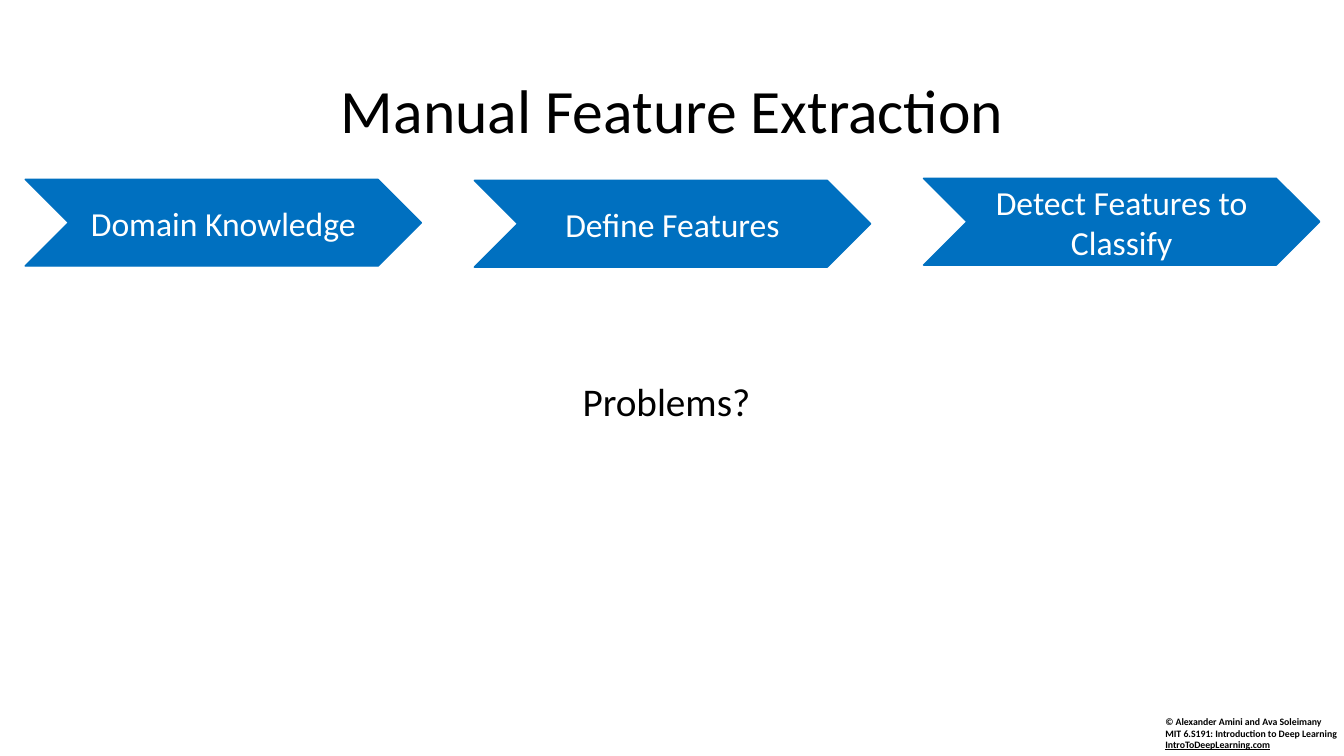
from pptx import Presentation
from pptx.dml.color import RGBColor
from pptx.enum.shapes import MSO_SHAPE
from pptx.enum.text import MSO_ANCHOR, PP_ALIGN
from pptx.util import Inches, Pt

CHEVRON = MSO_SHAPE.CHEVRON
TOP, MIDDLE = MSO_ANCHOR.TOP, MSO_ANCHOR.MIDDLE
LEFT, CENTER = PP_ALIGN.LEFT, PP_ALIGN.CENTER

# Content
TITLE = "Manual Feature Extraction"
QUESTION = "Problems?"
STEPS = [  # label, top
    ("Domain Knowledge", 1.78),
    ("Define Features", 1.79),
    ("Detect Features to Classify", 1.77),
]
CREDIT = [
    "© Alexander Amini and Ava Soleimany",
    "MIT 6.S191: Introduction to Deep Learning",
    "IntroToDeepLearning.com",
]
FONT = "Calibri"
COLORS = {"text": "000000", "step": "0070C0", "step_text": "FFFFFF"}

# Layout in inches
STEP_LEFT, STEP_PITCH = 0.25, 4.455
STEP_WIDTH, STEP_HEIGHT = 3.93, 0.86


def rgb(name):
    return RGBColor.from_string(COLORS[name])


def write(shape, text, size, color="text", align=LEFT, anchor=TOP, bold=False, spacing=None):
    frame = shape.text_frame
    frame.word_wrap = True
    frame.vertical_anchor = anchor
    frame.text = text
    paragraph = frame.paragraphs[0]
    paragraph.alignment = align
    paragraph.line_spacing = spacing
    for run in paragraph.runs:
        run.font.name = FONT
        run.font.size = Pt(size)
        run.font.bold = bold
        run.font.color.rgb = rgb(color)
    return paragraph


prs = Presentation()
prs.slide_width, prs.slide_height = Inches(13.33), Inches(7.5)
slide = prs.slides.add_slide(prs.slide_layouts[6])


def add_text(box, text, size, **style):
    area = slide.shapes.add_textbox(*map(Inches, box))
    return write(area, text, size, **style)


# Credit, one paragraph with line breaks and an underlined address
credit = add_text((11.46, 7.05, 1.98, 0.45), "\v".join(CREDIT), 7, bold=True)
credit.runs[-1].font.underline = True

# Title and question
add_text((0.92, 0.4, 11.5, 1.45), TITLE, 44, align=CENTER, anchor=MIDDLE, spacing=0.9)
add_text((5.68, 3.75, 1.98, 0.59), QUESTION, 28, spacing=0.9)

# Process steps
for index, (label, top) in enumerate(STEPS):
    left = STEP_LEFT + index * STEP_PITCH
    step = slide.shapes.add_shape(
        CHEVRON, Inches(left), Inches(top), Inches(STEP_WIDTH), Inches(STEP_HEIGHT))
    step.shadow.inherit = False
    step.fill.solid()
    step.fill.fore_color.rgb = rgb("step")
    step.line.color.rgb = rgb("step")
    step.line.width = Pt(1)
    write(step, label, 24, color="step_text", align=CENTER, anchor=MIDDLE)

prs.save("out.pptx")
